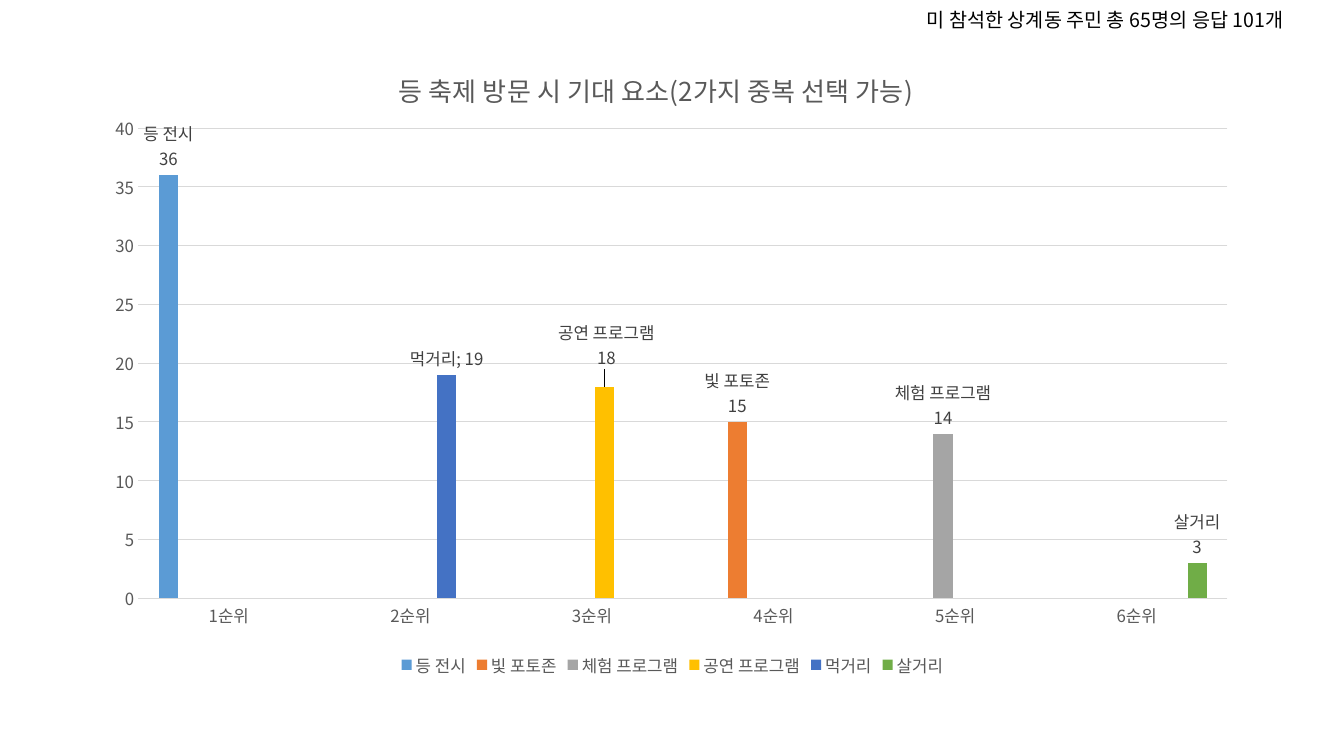
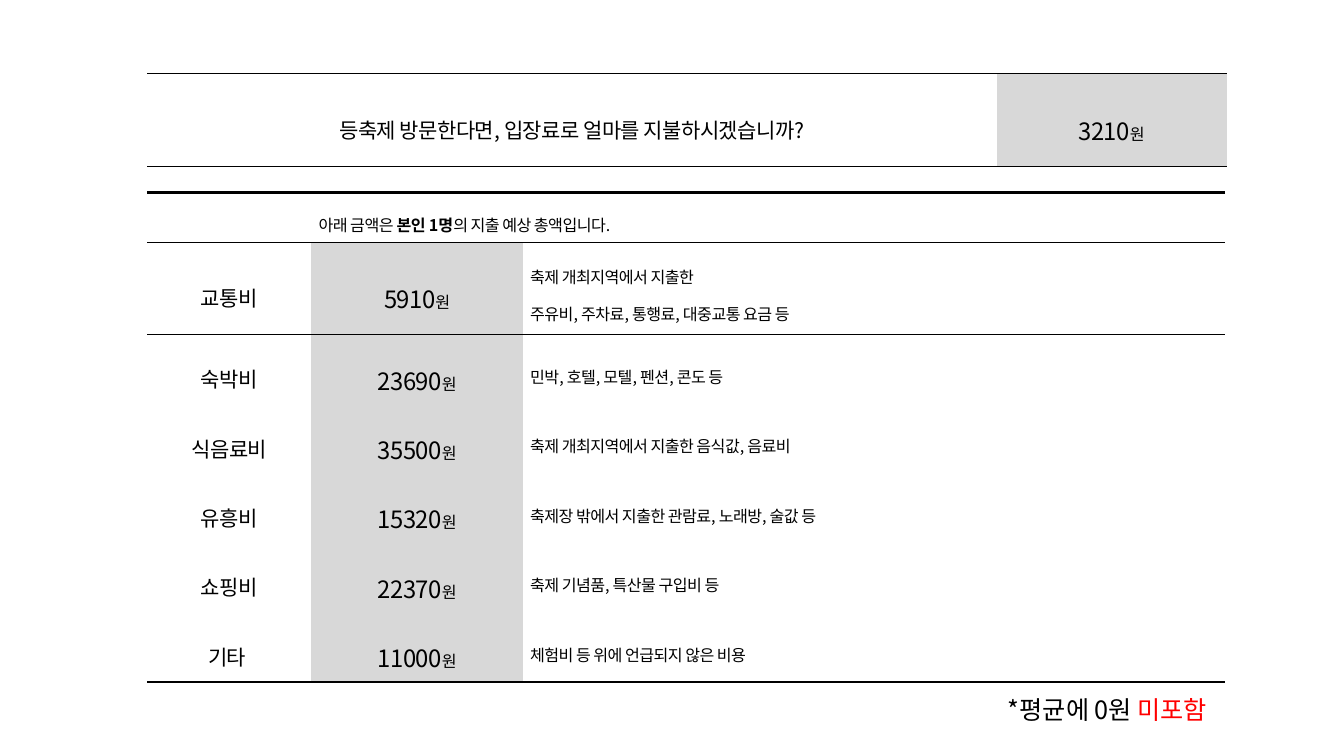
"""Build two slides of festival survey results: a chart of hopes and a table of costs."""
from copy import deepcopy
from pptx import Presentation
from pptx.chart.data import CategoryChartData as ChartData
from pptx.dml.color import RGBColor as RGB
from pptx.enum.chart import XL_CHART_TYPE as Kind, XL_LABEL_POSITION as Spot
from pptx.enum.chart import XL_LEGEND_POSITION as Side, XL_TICK_MARK as Tick
from pptx.enum.text import MSO_ANCHOR as Anchor, MSO_AUTO_SIZE as Auto, PP_ALIGN as Align
from pptx.oxml import parse_xml as parse
from pptx.oxml.ns import nsdecls, qn
from pptx.util import Cm, Pt


class Theme:
    face = "Noto Sans CJK KR"
    black, red = "000000", "FF0000"
    gray, dark, grid, shade = "595959", "404040", "D9D9D9", "D8D8D8"
    blue, orange, silver = "5B9BD5", "ED7D31", "A5A5A5"
    gold, navy, green = "FFC000", "4472C4", "70AD47"
    title, axis, head, note = 18.6, 12, 14, 18
    name, sum, small = 15, 17, 11.5
    thin, rule, thick = 0.28, 1, 1.7
    tight = -0.4
    lead = 1.6


def ink(font, size, color, bold=None):
    font.size = Pt(size)
    font.color.rgb = RGB.from_string(color)
    font.bold = bold
    font.name = Theme.face
    font._rPr.append(parse(f'<a:ea {nsdecls("a")} typeface="{Theme.face}"/>'))


def write(para, runs, tight=0):
    for text, size, color, bold in runs:
        run = para.add_run()
        run.text = text
        ink(run.font, size, color, bold)
        if tight:
            run.font._rPr.set("spc", str(round(tight * 100)))


deck = Presentation()
deck.slide_width, deck.slide_height = Cm(33.87), Cm(19.05)
blank = deck.slide_layouts[6]
hopes, costs = [deck.slides.add_slide(blank) for _ in range(2)]

bars = [
    ("등 전시", 1, 36, Theme.blue),
    ("빛 포토존", 4, 15, Theme.orange),
    ("체험 프로그램", 5, 14, Theme.silver),
    ("공연 프로그램", 3, 18, Theme.gold),
    ("먹거리", 2, 19, Theme.navy),
    ("살거리", 6, 3, Theme.green),
]
ranks = range(1, len(bars) + 1)
data = ChartData()
data.categories = [f"{rank}순위" for rank in ranks]
for name, place, value, _ in bars:
    data.add_series(name, [value if rank == place else None for rank in ranks])
box = [Cm(n) for n in (2.34, 0.94, 29.21, 16.23)]
chart = hopes.shapes.add_chart(Kind.COLUMN_CLUSTERED, *box, data).chart
ink(chart.font, Theme.axis, Theme.gray)

chart.has_title = True
title = chart.chart_title
write(title.text_frame.paragraphs[0],
      [("등 축제 방문 시 기대 요소(2가지 중복 선택 가능)", Theme.title, Theme.gray, False)])
chart.has_legend = True
chart.legend.position = Side.BOTTOM
chart.legend.include_in_layout = False
ink(chart.legend.font, Theme.axis, Theme.gray)

for axis in (chart.category_axis, chart.value_axis):
    axis.major_tick_mark = axis.minor_tick_mark = Tick.NONE
    ink(axis.tick_labels.font, Theme.axis, Theme.gray)
scale = chart.value_axis
scale.minimum_scale, scale.maximum_scale, scale.major_unit = 0, 40, 5
scale.format.line.fill.background()
for line in (chart.category_axis.format.line, scale.major_gridlines.format.line):
    line.color.rgb = RGB.from_string(Theme.grid)
    line.width = Pt(0.75)

plot = chart.plots[0]
plot.gap_width, plot.overlap, plot.vary_by_categories = 219, -27, False
for series, (name, place, _, color) in zip(plot.series, bars):
    series.format.fill.solid()
    series.format.fill.fore_color.rgb = RGB.from_string(color)
    labels = series.data_labels
    labels.show_value = labels.show_series_name = True
    labels.position = Spot.OUTSIDE_END
    ink(labels.font, Theme.axis, Theme.dark)
    mark = parse(f'<c:separator {nsdecls("c")}/>')
    mark.text = "; " if name == "먹거리" else "\n"
    tree = labels._element
    tree.find(qn("c:showBubbleSize")).addnext(mark)
    if name == "공연 프로그램":
        lift = parse(
            f'<c:dLbl {nsdecls("c")}><c:idx val="{place - 1}"/><c:layout><c:manualLayout>'
            '<c:x val="0.002"/><c:y val="-0.02"/></c:manualLayout></c:layout></c:dLbl>')
        for part in tree:
            if part.tag != qn("c:showLeaderLines"):
                lift.append(deepcopy(part))
        tree.insert(0, lift)

area = chart._chartSpace.chart.plotArea
frames = [
    (title._element, 1, "", {"x": 0.26, "y": 0.04}),
    (area, 0, '<c:layoutTarget val="inner"/>', {"x": 0.039, "y": 0.141, "w": 0.94, "h": 0.73}),
]
for host, index, target, sides in frames:
    for old in host.findall(qn("c:layout")):
        host.remove(old)
    modes = "".join(f'<c:{key}Mode val="edge"/>' for key in "xy")
    sizes = "".join(f'<c:{key} val="{size}"/>' for key, size in sides.items())
    host.insert(index, parse(f'<c:layout {nsdecls("c")}><c:manualLayout>{target}{modes}{sizes}'
                             '</c:manualLayout></c:layout>'))

notes = [
    (hopes, (23.11, 0.08, 10.77, 0.86),
     [("미 참석한 상계동 주민 총 65명의 응답 101개 ", Theme.head, Theme.black, False)]),
    (costs, (25.15, 17.37, 6.07, 1.02),
     [("*평균에 0원 ", Theme.note, Theme.black, False),
      ("미포함", Theme.note, Theme.red, False)]),
]
for slide, spot, runs in notes:
    frame = slide.shapes.add_textbox(*[Cm(n) for n in spot]).text_frame
    frame.word_wrap = False
    frame.auto_size = Auto.SHAPE_TO_FIT_TEXT
    write(frame.paragraphs[0], runs)

items = [
    ("교통비", "5910", ["축제 개최지역에서 지출한", "주유비, 주차료, 통행료, 대중교통 요금 등"]),
    ("숙박비", "23690", ["민박, 호텔, 모텔, 펜션, 콘도 등"]),
    ("식음료비", "35500", ["축제 개최지역에서 지출한 음식값, 음료비"]),
    ("유흥비", "15320", ["축제장 밖에서 지출한 관람료, 노래방, 술값 등"]),
    ("쇼핑비", "22370", ["축제 기념품, 특산물 구입비 등"]),
    ("기타 ", "11000", ["체험비 등 위에 언급되지 않은 비용"]),
]
won = ("원", Theme.small, Theme.black, False)
intro = [(text, Theme.small, Theme.black, bold) for text, bold in
         (("아래 금액은 ", False), ("본인 1명", True), ("의 지출 예상 총액입니다. ", False))]
rows = [[[], [intro], []]]
for name, cost, lines in items:
    rows.append([
        [[(name, Theme.name, Theme.black, False)]],
        [[(cost, Theme.sum, Theme.black, False), won]],
        [[(line, Theme.small, Theme.black, False)] for line in lines],
    ])
fee = [[
    [[("등축제 방문한다면, 입장료로 얼마를 지불하시겠습니까?", Theme.name, Theme.black, False)]],
    [[("3210", Theme.sum, Theme.black, False), won]],
]]
edges = {0: (Theme.thick, Theme.thin), 1: (Theme.thin, 0), len(items): (0, Theme.thick)}
grids = [
    (4.85, (4.14, 5.33, 17.7), [1.24, 2.34] + [1.75] * 5, rows, edges, 1),
    (1.85, (21.41, 5.79), [2.34], fee, {0: (Theme.rule, Theme.rule)}, 0),
]
for top, wide, tall, body, rules, first in grids:
    size = [Cm(n) for n in (3.71, top, sum(wide), sum(tall))]
    table = costs.shapes.add_table(len(tall), len(wide), *size).table
    table.first_row = table.horz_banding = False
    table._tbl.tblPr.find(qn("a:tableStyleId")).text = "{2D5ABB26-0587-4C30-8999-92F81FD0307C}"
    for col, width in zip(table.columns, wide):
        col.width = Cm(width)
    for row, height in zip(table.rows, tall):
        row.height = Cm(height)
    if first:
        table.cell(0, 1).merge(table.cell(0, 2))
    for r, line in enumerate(body):
        for c, paras in enumerate(line):
            cell = table.cell(r, c)
            cell.vertical_anchor = Anchor.MIDDLE
            cell.margin_left = cell.margin_right = Cm(0.18)
            cell.margin_top = cell.margin_bottom = Cm(0.05)
            if c == 1 and r >= first:
                cell.fill.solid()
                cell.fill.fore_color.rgb = RGB.from_string(Theme.shade)
            else:
                cell.fill.background()
            for n, runs in enumerate(paras):
                para = cell.text_frame.paragraphs[0] if n == 0 else cell.text_frame.add_paragraph()
                para.alignment = Align.JUSTIFY if c == 2 or r < first else Align.CENTER
                para.line_spacing = Theme.lead
                write(para, runs, Theme.tight)
            pens = [pair for pair in zip("TB", rules.get(r, (0, 0))) if pair[1]]
            for n, (side, width) in enumerate(pens):
                cell._tc.get_or_add_tcPr().insert(n, parse(
                    f'<a:ln{side} {nsdecls("a")} w="{Pt(width)}"><a:solidFill>'
                    f'<a:srgbClr val="{Theme.black}"/></a:solidFill></a:ln{side}>'))

deck.save("out.pptx")
